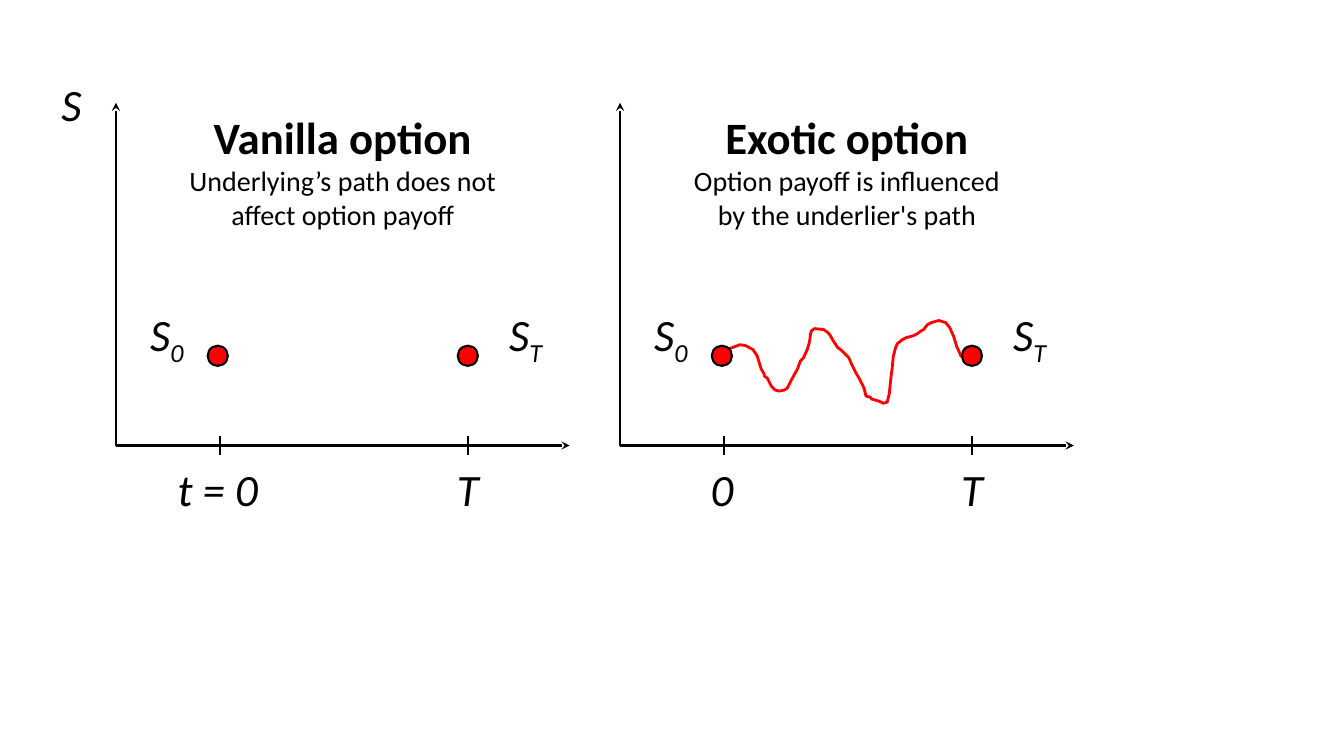
from dataclasses import dataclass

from lxml.etree import SubElement
from pptx import Presentation
from pptx.dml.color import RGBColor
from pptx.enum.shapes import MSO_CONNECTOR as Link, MSO_SHAPE as Shape
from pptx.enum.text import MSO_AUTO_SIZE as Fit, PP_ALIGN as Align
from pptx.oxml.ns import qn
from pptx.util import Inches, Pt

BLACK = RGBColor(0, 0, 0)
RED = RGBColor(255, 0, 0)
FONT = "Calibri"
BIG, SMALL = 32, 20
ROW = 0.64  # height of a one-line label


@dataclass
class Panel:
    left: float
    title: str
    note: str
    start: str


@dataclass
class Line:
    text: str
    size: int = BIG
    bold: bool = False
    italic: bool = False
    sub: str = ""


PANELS = [
    Panel(1.15, "Vanilla option",
          "Underlying’s path does not affect option payoff", "t = 0"),
    Panel(6.15, "Exotic option",
          "Option payoff is influenced by the underlier's path", "0"),
]

# Price path of the exotic option
WALK = [
    (7.21, 3.47), (7.26, 3.45), (7.34, 3.42), (7.4, 3.43), (7.47, 3.47),
    (7.51, 3.53), (7.55, 3.66), (7.58, 3.71), (7.58, 3.73), (7.61, 3.75),
    (7.65, 3.83), (7.69, 3.87), (7.73, 3.88), (7.78, 3.87), (7.81, 3.85),
    (7.85, 3.77), (7.91, 3.66), (7.94, 3.58), (7.97, 3.55), (8.01, 3.46),
    (8.03, 3.39), (8.04, 3.31), (8.05, 3.28), (8.08, 3.26), (8.17, 3.27),
    (8.2, 3.29), (8.23, 3.32), (8.27, 3.39), (8.31, 3.45), (8.34, 3.47),
    (8.39, 3.52), (8.42, 3.55), (8.45, 3.62), (8.49, 3.7), (8.52, 3.75),
    (8.57, 3.85), (8.59, 3.93), (8.63, 3.94), (8.65, 3.96), (8.72, 3.98),
    (8.76, 4.0), (8.8, 3.99), (8.82, 3.91), (8.84, 3.72), (8.85, 3.65),
    (8.86, 3.54), (8.88, 3.46), (8.9, 3.41), (8.95, 3.37), (8.99, 3.35),
    (9.06, 3.33), (9.1, 3.31), (9.14, 3.28), (9.16, 3.27), (9.2, 3.22),
    (9.24, 3.2), (9.31, 3.18), (9.38, 3.2), (9.42, 3.25), (9.46, 3.34),
    (9.49, 3.44), (9.51, 3.48), (9.53, 3.53), (9.57, 3.54), (9.61, 3.54),
]

deck = Presentation()
deck.slide_width, deck.slide_height = Inches(13.33), Inches(7.5)
shapes = deck.slides.add_slide(deck.slide_layouts[6]).shapes


def label(left: float, top: float, width: float, height: float,
          lines: list[Line], align: Align = Align.LEFT) -> None:
    box = shapes.add_textbox(Inches(left), Inches(top), Inches(width), Inches(height))
    frame = box.text_frame
    frame.word_wrap = True
    frame.auto_size = Fit.SHAPE_TO_FIT_TEXT
    for i, line in enumerate(lines):
        para = frame.add_paragraph() if i else frame.paragraphs[0]
        para.alignment = align
        font = para.font
        font.name, font.size = FONT, Pt(line.size)
        font.bold, font.italic = line.bold, line.italic
        font.color.rgb = BLACK
        para.add_run().text = line.text
        if line.sub:
            run = para.add_run()
            run.text = line.sub
            run.font._element.set("baseline", "-25000")


def stroke(x: float, y: float, end_x: float, end_y: float,
           arrow: bool = False) -> None:
    line = shapes.add_connector(Link.STRAIGHT, Inches(x), Inches(y),
                                Inches(end_x), Inches(end_y))
    line.line.color.rgb = BLACK
    line.line.width = Pt(1.5)
    if arrow:
        SubElement(line.line._get_or_add_ln(), qn("a:tailEnd"), type="stealth")
    SubElement(line._element.spPr, qn("a:effectLst"))


def dot(left: float, top: float) -> None:
    mark = shapes.add_shape(Shape.OVAL, Inches(left), Inches(top),
                            Inches(0.2), Inches(0.2))
    mark.shadow.inherit = False
    mark.fill.solid()
    mark.fill.fore_color.rgb = RED
    mark.line.color.rgb = BLACK
    mark.line.width = Pt(1.5)


def curve(points: list[tuple[float, float]]) -> None:
    first, *rest = [(Inches(x), Inches(y)) for x, y in points]
    pen = shapes.build_freeform(*first)
    pen.add_line_segments(rest, close=False)
    path = pen.convert_to_shape()
    path.shadow.inherit = False
    path.fill.background()
    path.line.color.rgb = RED
    path.line.width = Pt(2)


def draw(panel: Panel) -> None:
    x, base = panel.left, 4.42
    # Axes
    stroke(x, base, x + 4.5, base, arrow=True)
    stroke(x, base, x, 1.02, arrow=True)
    # Start and end: tick, time and price point
    for tick, name, time in ((1.03, 0.46, panel.start), (3.49, 2.94, "T")):
        stroke(x + tick, base - 0.09, x + tick, base + 0.09)
        label(x + name, 4.53, 1.1, ROW, [Line(time, italic=True)], Align.CENTER)
        dot(x + name + 0.45, 3.43)
    # Prices
    for gap, width, sub in ((0.24, 0.77, "0"), (3.8, 0.79, "T")):
        label(x + gap, 2.99, width, ROW, [Line("S", italic=True, sub=sub)])
    # Heading
    label(x + 0.53, 1.04, 3.44, 1.31,
          [Line(panel.title, bold=True), Line(panel.note, SMALL)], Align.CENTER)


curve(WALK)
for panel in PANELS:
    draw(panel)
label(0.51, 0.71, 0.51, ROW, [Line("S", italic=True)])

deck.save("out.pptx")
